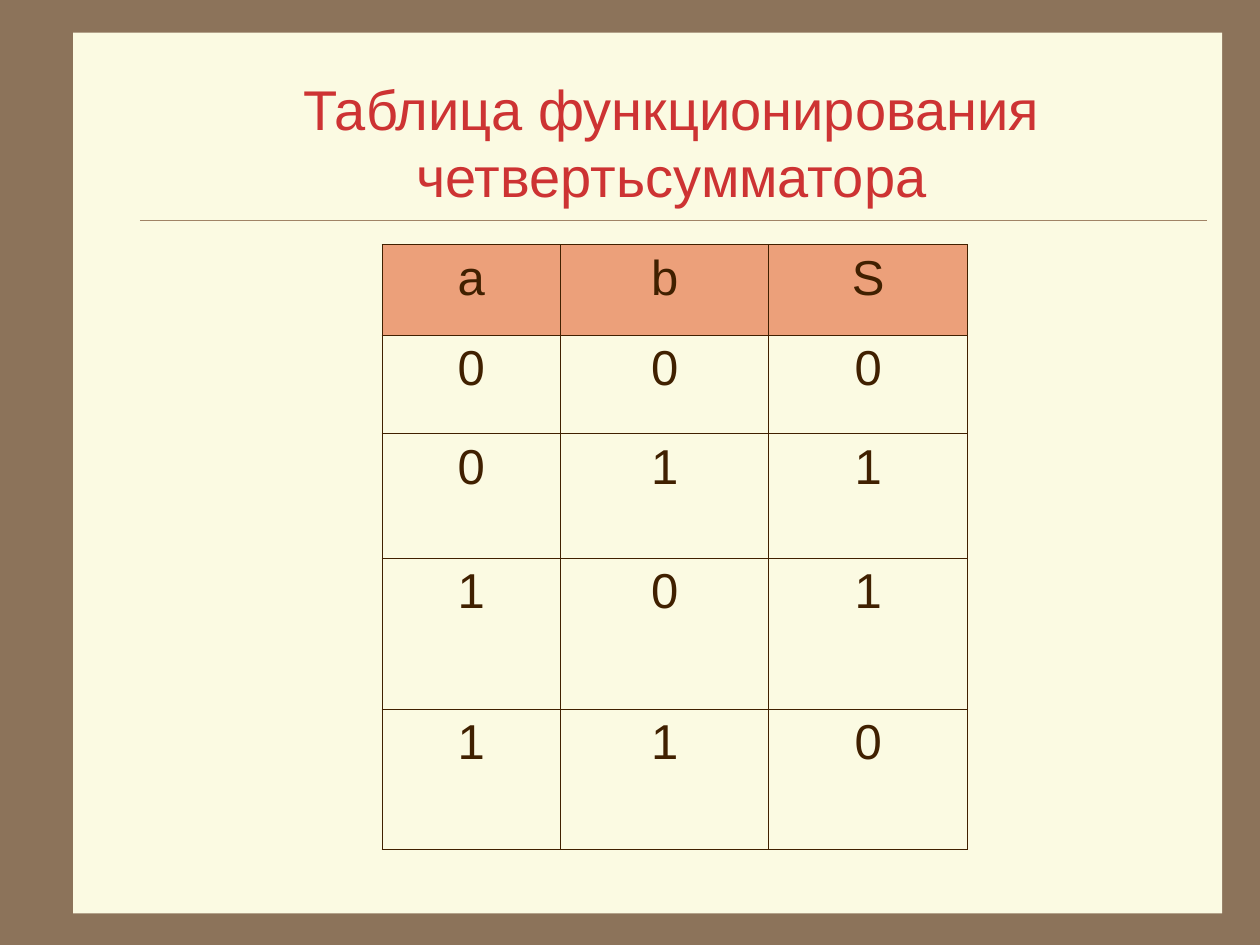
"""Build a slide with the truth table of a quarter adder."""
from dataclasses import dataclass

from lxml import etree
from pptx import Presentation
from pptx import util as u
from pptx.dml.color import RGBColor
from pptx.enum import shapes, text
from pptx.oxml.ns import qn


@dataclass(frozen=True)
class Theme:
    font: str = "Arial"
    frame: str = "8C735A"
    paper: str = "FBFAE2"
    rule: str = "A08366"
    title: str = "CD3333"
    ink: str = "402000"
    header: str = "ECA07A"
    title_size: float = 32
    cell_size: float = 28
    rule_width: float = 0.25
    border_width: float = 0.45


@dataclass(frozen=True)
class Area:
    left: float
    top: float
    width: float
    height: float

    def lengths(self) -> tuple:
        return tuple(map(u.Pt, (self.left, self.top, self.width, self.height)))


@dataclass(frozen=True)
class TruthTable:
    left: float
    top: float
    columns: tuple
    heights: tuple
    rows: tuple

    def area(self) -> Area:
        return Area(self.left, self.top, sum(self.columns), sum(self.heights))


THEME = Theme()
PAPER = Area(41.8, 18.7, 656.6, 503.3)
TITLE = Area(77.8, 36, 612, 90)
RULE = Area(79.9, 126, 609.9, 0)
TABLE = TruthTable(
    218.2, 139.7,
    columns=(102.2, 118.8, 113.8),
    heights=(51.8, 56.2, 71.3, 86.4, 79.9),
    rows=("abS", "000", "011", "101", "110"),
)


def style_text(frame, size: float, color: str) -> None:
    for para in frame.paragraphs:
        para.alignment = text.PP_ALIGN.CENTER
        para.font.name = THEME.font
        para.font.size = u.Pt(size)
        para.font.bold = False
        para.font.color.rgb = RGBColor.from_string(color)


def draw_paper(page, area: Area) -> None:
    paper = page.shapes.add_shape(shapes.MSO_SHAPE.RECTANGLE, *area.lengths())
    paper.shadow.inherit = False
    paper.fill.solid()
    paper.fill.fore_color.rgb = RGBColor.from_string(THEME.paper)
    paper.line.fill.background()


def draw_rule(page, area: Area) -> None:
    left, top, width, height = area.lengths()
    rule = page.shapes.add_connector(
        shapes.MSO_CONNECTOR.STRAIGHT, left, top, left + width, top + height)
    rule.line.color.rgb = RGBColor.from_string(THEME.rule)
    rule.line.width = u.Pt(THEME.rule_width)
    etree.SubElement(rule._element.spPr, qn("a:effectLst"))


def draw_title(page, area: Area, wording: str) -> None:
    title = page.shapes.title
    title.left, title.top, title.width, title.height = area.lengths()
    frame = title.text_frame
    frame.text = wording
    frame.word_wrap = True
    frame.auto_size = text.MSO_AUTO_SIZE.NONE
    frame.vertical_anchor = text.MSO_ANCHOR.MIDDLE
    style_text(frame, THEME.title_size, THEME.title)
    page.shapes._spTree.append(title._element)


def add_borders(cell) -> None:
    properties = cell._tc.get_or_add_tcPr()
    for index, side in enumerate(("lnL", "lnR", "lnT", "lnB")):
        border = etree.Element(qn(f"a:{side}"), w=str(u.Pt(THEME.border_width)))
        fill = etree.SubElement(border, qn("a:solidFill"))
        etree.SubElement(fill, qn("a:srgbClr"), val=THEME.ink)
        properties.insert(index, border)


def draw_table(page, truth: TruthTable) -> None:
    table = page.shapes.add_table(
        len(truth.rows), len(truth.columns), *truth.area().lengths()).table
    table.first_row = table.horz_banding = False
    for column, width in zip(table.columns, truth.columns):
        column.width = u.Pt(width)
    for index, (row, height, values) in enumerate(
            zip(table.rows, truth.heights, truth.rows)):
        row.height = u.Pt(height)
        for cell, value in zip(row.cells, values):
            cell.text = value
            style_text(cell.text_frame, THEME.cell_size, THEME.ink)
            if index == 0:
                cell.fill.solid()
                cell.fill.fore_color.rgb = RGBColor.from_string(THEME.header)
            else:
                cell.fill.background()
            add_borders(cell)


def main() -> None:
    deck = Presentation()
    deck.slide_width, deck.slide_height = u.Pt(720), u.Pt(540)
    page = deck.slides.add_slide(deck.slide_layouts[5])
    page.background.fill.solid()
    page.background.fill.fore_color.rgb = RGBColor.from_string(THEME.frame)
    draw_paper(page, PAPER)
    draw_rule(page, RULE)
    draw_title(page, TITLE, "Таблица функционирования четвертьсумматора")
    draw_table(page, TABLE)
    deck.save("out.pptx")


if __name__ == "__main__":
    main()
